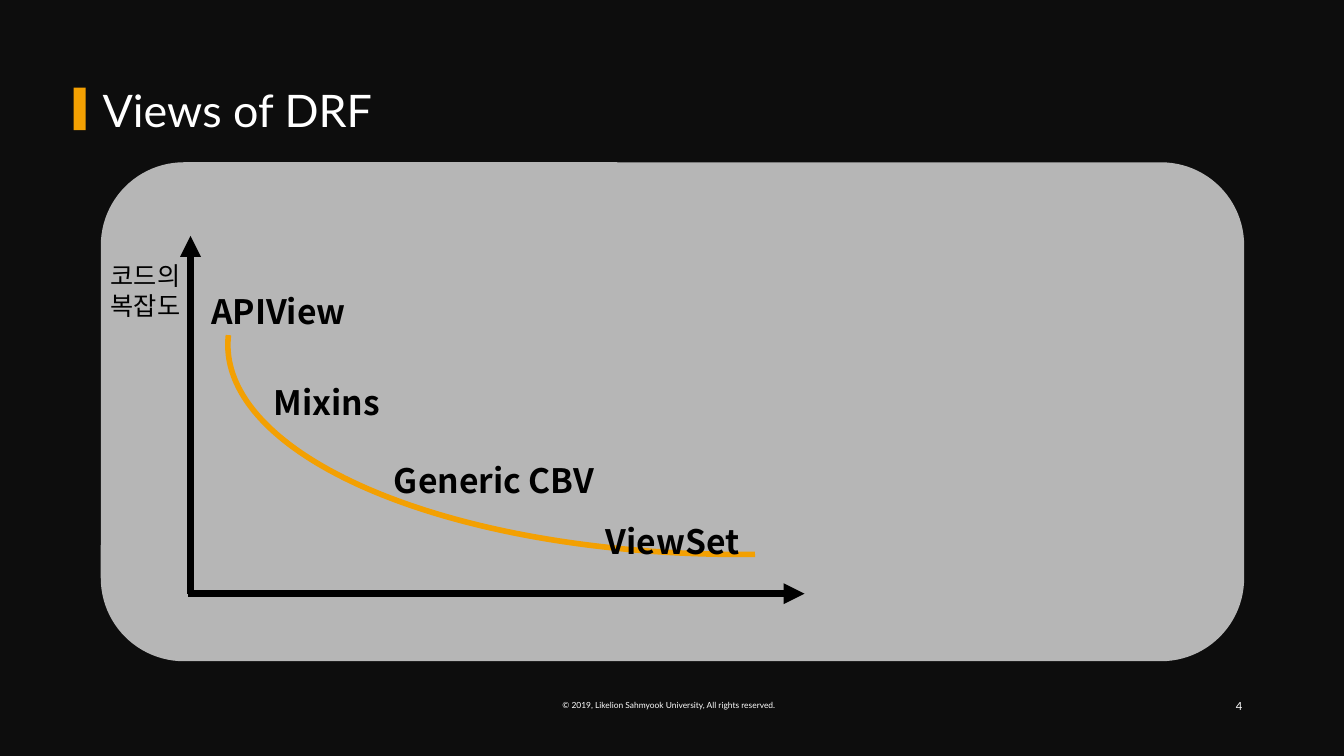
from lxml.etree import SubElement
from pptx import Presentation
from pptx.dml.color import RGBColor
from pptx.enum.shapes import MSO_CONNECTOR, MSO_SHAPE
from pptx.enum.text import MSO_ANCHOR, PP_ALIGN
from pptx.oxml.ns import qn
from pptx.util import Inches, Pt

# Content
TITLE = "Views of DRF"
AXIS = "코드의 복잡도"
VIEWS = [  # name, left, top
    ("APIView", 1.65, 2.84),
    ("Mixins", 2.13, 3.74),
    ("Generic CBV", 3.79, 4.51),
    ("ViewSet", 5.56, 5.12),
]
CREDIT = "©\u00a02019, Likelion Sahmyook University, All rights reserved."
PAGE = "4"

# Style
DARK = RGBColor(0x0D, 0x0D, 0x0D)
WHITE = RGBColor(0xFF, 0xFF, 0xFF)
BLACK = RGBColor(0, 0, 0)
ORANGE = RGBColor(0xF3, 0xA0, 0x02)
LATO = "Lato"
NOTO = "Noto Sans CJK KR"

deck = Presentation()
deck.slide_width, deck.slide_height = Inches(13.33), Inches(7.5)
slide = deck.slides.add_slide(deck.slide_layouts[6])
slide.background.fill.solid()
slide.background.fill.fore_color.rgb = DARK
shapes = slide.shapes


def add_text(text, box, size, face, color, align=PP_ALIGN.LEFT,
             anchor=MSO_ANCHOR.TOP, bold=False, wrap=True):
    frame = shapes.add_textbox(*map(Inches, box)).text_frame
    frame.word_wrap = wrap
    frame.vertical_anchor = anchor
    para = frame.paragraphs[0]
    para.text = text
    para.alignment = align
    font = para.font
    font.size, font.bold, font.name = Pt(size), bold, face
    font.color.rgb = color
    # East Asian letters take the same face
    SubElement(para._p.pPr.find(qn("a:defRPr")), qn("a:ea"), typeface=face)
    return para


def add_shape(kind, box, fill=None):
    shape = shapes.add_shape(kind, *map(Inches, box))
    shape.shadow.inherit = False
    if fill is not None:
        shape.fill.solid()
        shape.fill.fore_color.rgb = fill
        shape.line.fill.background()
    return shape


def add_axis(start, end):
    axis = shapes.add_connector(MSO_CONNECTOR.STRAIGHT,
                                *map(Inches, start + end))
    axis.line.color.rgb = BLACK
    axis.line.width = Pt(5)
    SubElement(axis.line._get_or_add_ln(), qn("a:tailEnd"), type="triangle")
    SubElement(axis._element.spPr, qn("a:effectLst"))


# Footer and title
add_text(CREDIT, (5.48, 6.9, 2.37, 0.2), 6, LATO, WHITE, wrap=False)
add_shape(MSO_SHAPE.RECTANGLE, (0.73, 0.87, 0.12, 0.42), ORANGE)
title = add_text(TITLE, (0.92, 0.4, 11.5, 1.45), 32, LATO, WHITE,
                 anchor=MSO_ANCHOR.MIDDLE)
title.line_spacing = 0.9
add_text(PAGE, (9.42, 6.8, 3, 0.4), 8, LATO, WHITE,
         PP_ALIGN.RIGHT, MSO_ANCHOR.MIDDLE)

# Translucent panel
panel = add_shape(MSO_SHAPE.ROUNDED_RECTANGLE, (1, 1.61, 11.34, 4.95), WHITE)
tint = panel._element.spPr.find(qn("a:solidFill"))[0]
SubElement(tint, qn("a:alpha"), val="70000")

# Axes
add_axis((1.89, 5.89), (1.89, 2.34))
add_axis((1.86, 5.89), (7.98, 5.89))

# Falling curve: top left quarter turned half round
curve = add_shape(MSO_SHAPE.ARC, (2.26, 1.34, 10.15, 4.16))
curve.rotation = 180
curve.adjustments[0] = 159.47
curve.adjustments[1] = 0.65
curve.fill.background()
curve.line.color.rgb = ORANGE
curve.line.width = Pt(4)

# Labels
for name, left, top in VIEWS:
    add_text(name, (left, top, 2.22, 0.5), 24, NOTO, BLACK,
             PP_ALIGN.CENTER, bold=True)
add_text(AXIS, (1, 2.53, 1, 0.71), 18, NOTO, BLACK)

deck.save("out.pptx")
